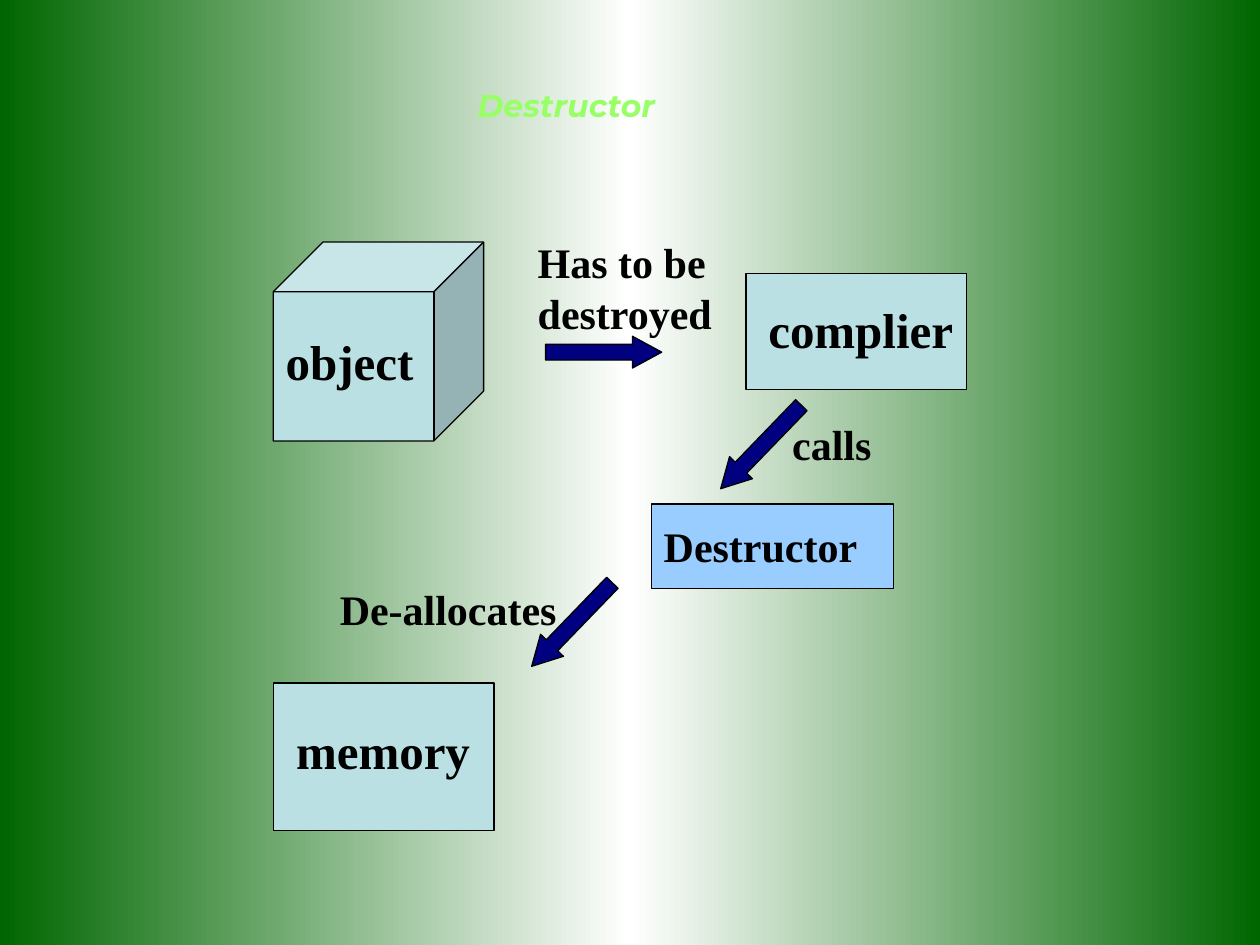
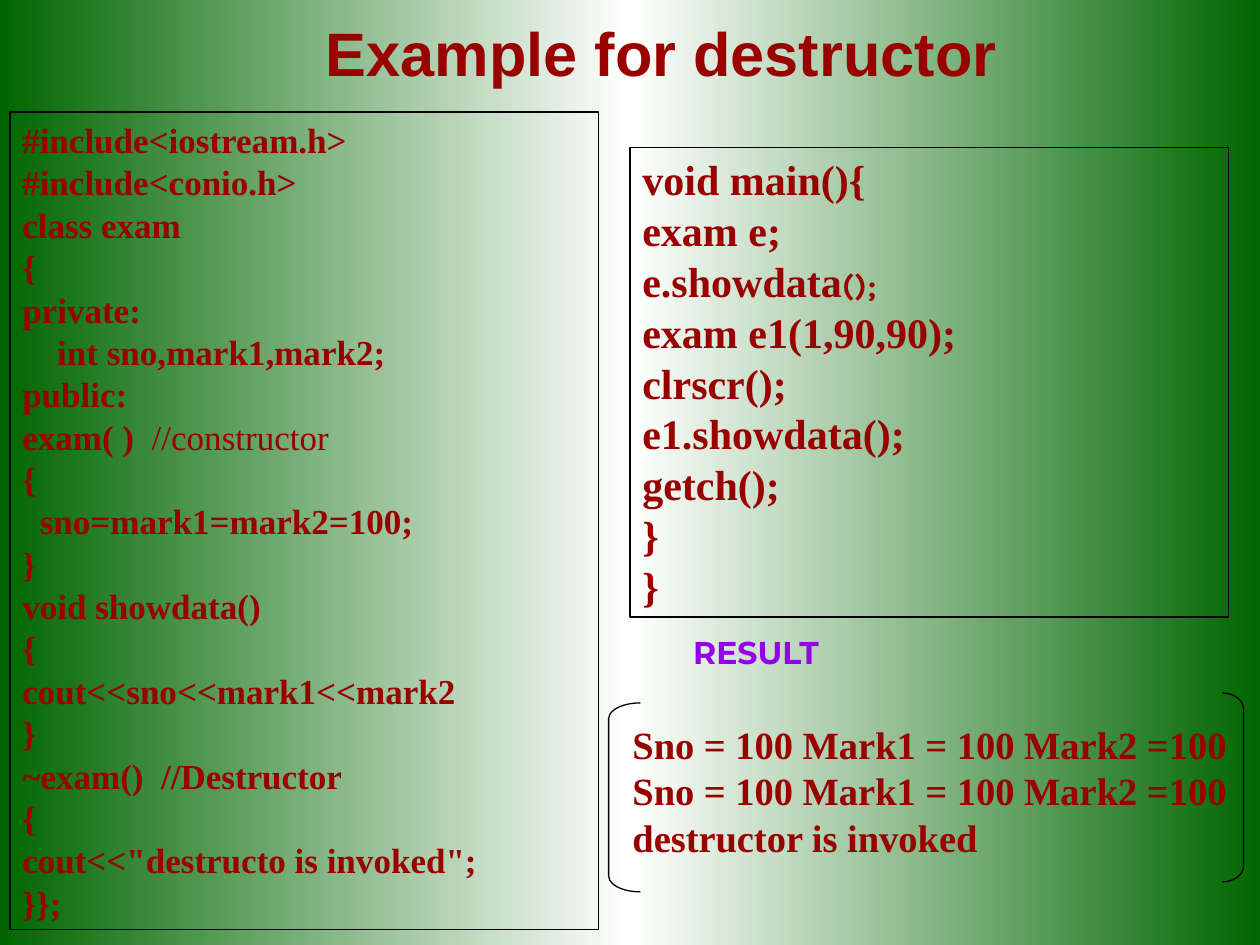
import copy

import pptx
import pptx.util
from pptx.dml.color import RGBColor
from pptx.enum.shapes import MSO_SHAPE
from pptx.enum.text import MSO_ANCHOR, MSO_AUTO_SIZE, PP_ALIGN
from pptx.oxml.ns import qn
from pptx.util import Cm

GREEN = RGBColor(0x00, 0x66, 0x00)
WHITE = RGBColor(0xFF, 0xFF, 0xFF)
BLACK = RGBColor(0x00, 0x00, 0x00)
LIME = RGBColor(0x99, 0xFF, 0x66)
PALE_TEAL = RGBColor(0xBB, 0xE0, 0xE3)
SKY = RGBColor(0x99, 0xCC, 0xFF)
NAVY = RGBColor(0x00, 0x00, 0x80)
DARK_RED = RGBColor(0x99, 0x00, 0x00)
PURPLE = RGBColor(0x94, 0x00, 0xED)
SERIF = "Times New Roman"
DISPLAY = "Montserrat"


def add_outlined(slide, preset, place, fill=None):
    """Add a thin black outlined shape, filled only if a colour is given."""
    shape = slide.shapes.add_shape(preset, *[Cm(length) for length in place])
    shape.shadow.inherit = False
    shape.line.color.rgb = BLACK
    shape.line.width = pptx.util.Pt(0.75)
    if fill is None:
        shape.fill.background()
    else:
        shape.fill.solid()
        shape.fill.fore_color.rgb = fill
    return shape


def write(shape, lines, size, color, font=SERIF, align=PP_ALIGN.LEFT,
          anchor=MSO_ANCHOR.TOP, spacing=1.2, wrap=True):
    """Write bold lines; a line is a list of (text, font, size, bold) runs or plain text."""
    frame = shape.text_frame
    frame.word_wrap = wrap
    frame.auto_size = MSO_AUTO_SIZE.NONE
    frame.vertical_anchor = anchor
    for index, line in enumerate(lines):
        paragraph = frame.add_paragraph() if index else frame.paragraphs[0]
        paragraph.alignment = align
        paragraph.space_before = pptx.util.Pt(0)
        # Serif text has a fixed pitch, titles a proportional one
        paragraph.line_spacing = pptx.util.Pt(spacing * size) if font == SERIF else spacing
        runs = [(line, font, size, True)] if isinstance(line, str) else line
        for text, run_font, run_size, bold in runs:
            run = paragraph.add_run()
            run.text = text
            run.font.name = run_font
            run.font.size = pptx.util.Pt(run_size)
            run.font.bold = bold
            run.font.color.rgb = color


presentation = pptx.Presentation()
presentation.slide_width, presentation.slide_height = Cm(25.4), Cm(19.05)
title_only = presentation.slide_layouts[5]

# Shared background: green fading to white in the middle
master = presentation.slide_master
backdrop = master.background.fill
backdrop.gradient()
backdrop.gradient_angle = 0
stop_list = master.element.find(".//" + qn("a:gsLst"))
stop_list.append(copy.deepcopy(stop_list[0]))
for stop, position, color in zip(backdrop.gradient_stops, (0, 0.5, 1), (GREEN, WHITE, GREEN)):
    stop.position = position
    stop.color.rgb = color

# Slide 1: how an object is destroyed
flow = presentation.slides.add_slide(title_only)
title = flow.shapes.title
title.left, title.top, title.width, title.height = Cm(6.55), Cm(1.27), Cm(9.73), Cm(1.7)
write(title, ["Destructor"], 18, LIME, DISPLAY, PP_ALIGN.CENTER, MSO_ANCHOR.MIDDLE, 1.0)
title.text_frame.paragraphs[0].runs[0].font.italic = True

# Participants
for preset, place, fill in [
    (MSO_SHAPE.RECTANGLE, (13.13, 10.16, 4.88, 1.7), SKY),
    (MSO_SHAPE.CUBE, (5.51, 4.88, 4.24, 4.01), PALE_TEAL),
    (MSO_SHAPE.RECTANGLE, (15.04, 5.51, 4.45, 2.34), PALE_TEAL),
    (MSO_SHAPE.RECTANGLE, (5.51, 13.77, 4.45, 2.97), PALE_TEAL),
]:
    add_outlined(flow, preset, place, fill)

# Arrows between them
for left, top, turn in [(11, 6.78, 0), (14.17, 8.69, 134), (10.36, 12.27, 134)]:
    arrow = add_outlined(flow, MSO_SHAPE.RIGHT_ARROW, (left, top, 2.34, 0.64), NAVY)
    arrow.adjustments[1] = 0.92
    arrow.rotation = turn

# Names and steps
for label, size, place in [
    ("object", 28, (5.51, 6.55, 3.18, 1.45)),
    ("Has to be destroyed", 24, (10.59, 4.65, 4.7, 2.29)),
    ("complier", 28, (15.24, 5.92, 4.65, 1.45)),
    ("calls", 24, (15.72, 8.31, 2.74, 1.27)),
    ("Destructor", 24, (13.13, 10.36, 4.6, 1.27)),
    ("De-allocates", 24, (6.6, 11.63, 5.28, 1.27)),
    ("memory", 28, (5.72, 14.4, 4.2, 1.45)),
]:
    caption = flow.shapes.add_textbox(*[Cm(length) for length in place])
    write(caption, [label], size, BLACK)

# Slide 2: example program
example = presentation.slides.add_slide(title_only)
title = example.shapes.title
title.left, title.top, title.width, title.height = Cm(2.11), Cm(0), Cm(22.45), Cm(2.34)
write(title, ["Example for destructor"], 35, DARK_RED, "Arial", PP_ALIGN.CENTER,
      MSO_ANCHOR.MIDDLE, 0.85)

# Class definition
class_code = [
    "#include<iostream.h>",
    "#include<conio.h>",
    "class exam",
    "{",
    "private:",
    "    int sno,mark1,mark2;",
    "public:",
    [("exam( ) ", SERIF, 20, True), (" //constructor", SERIF, 20, False)],
    "{",
    "  sno=mark1=mark2=100;",
    "}",
    "void showdata()",
    "{",
    "cout<<sno<<mark1<<mark2",
    "}",
    "~exam()  //Destructor",
    "{",
    'cout<<"destructo is invoked";',
    "}};",
]
class_panel = add_outlined(example, MSO_SHAPE.RECTANGLE, (0.2, 2.26, 11.86, 16.48))
write(class_panel, class_code, 20, DARK_RED, spacing=1.21)

# Main program
main_code = [
    "void main(){",
    "exam e;",
    [("e.showdata", SERIF, 24, True), ("();", "Karla", 18, True)],
    "exam e1(1,90,90);",
    "clrscr();",
    "e1.showdata();",
    "getch();",
    "}",
    "}",
]
main_panel = add_outlined(example, MSO_SHAPE.RECTANGLE, (12.7, 2.97, 12.07, 9.47))
write(main_panel, main_code, 24, DARK_RED, spacing=1.21)

# Result between brackets
result_heading = example.shapes.add_textbox(Cm(12.7), Cm(12.5), Cm(5.08), Cm(1.27))
write(result_heading, ["RESULT"], 18, PURPLE, DISPLAY, PP_ALIGN.CENTER, MSO_ANCHOR.MIDDLE, 1.0)
marks = "Sno = 100 Mark1 = 100 Mark2 =100"
output = example.shapes.add_textbox(Cm(12.5), Cm(14.4), Cm(12.9), Cm(3.07))
write(output, [marks, marks, "destructor is invoked"], 22, DARK_RED, spacing=1.21)
for preset, place, curve in [
    (MSO_SHAPE.LEFT_BRACKET, (12.27, 14.17, 0.64, 3.81), 0.5),
    (MSO_SHAPE.RIGHT_BRACKET, (24.64, 13.97, 0.43, 3.81), 0.75),
]:
    bracket = add_outlined(example, preset, place)
    bracket.adjustments[0] = curve

presentation.save("out.pptx")
